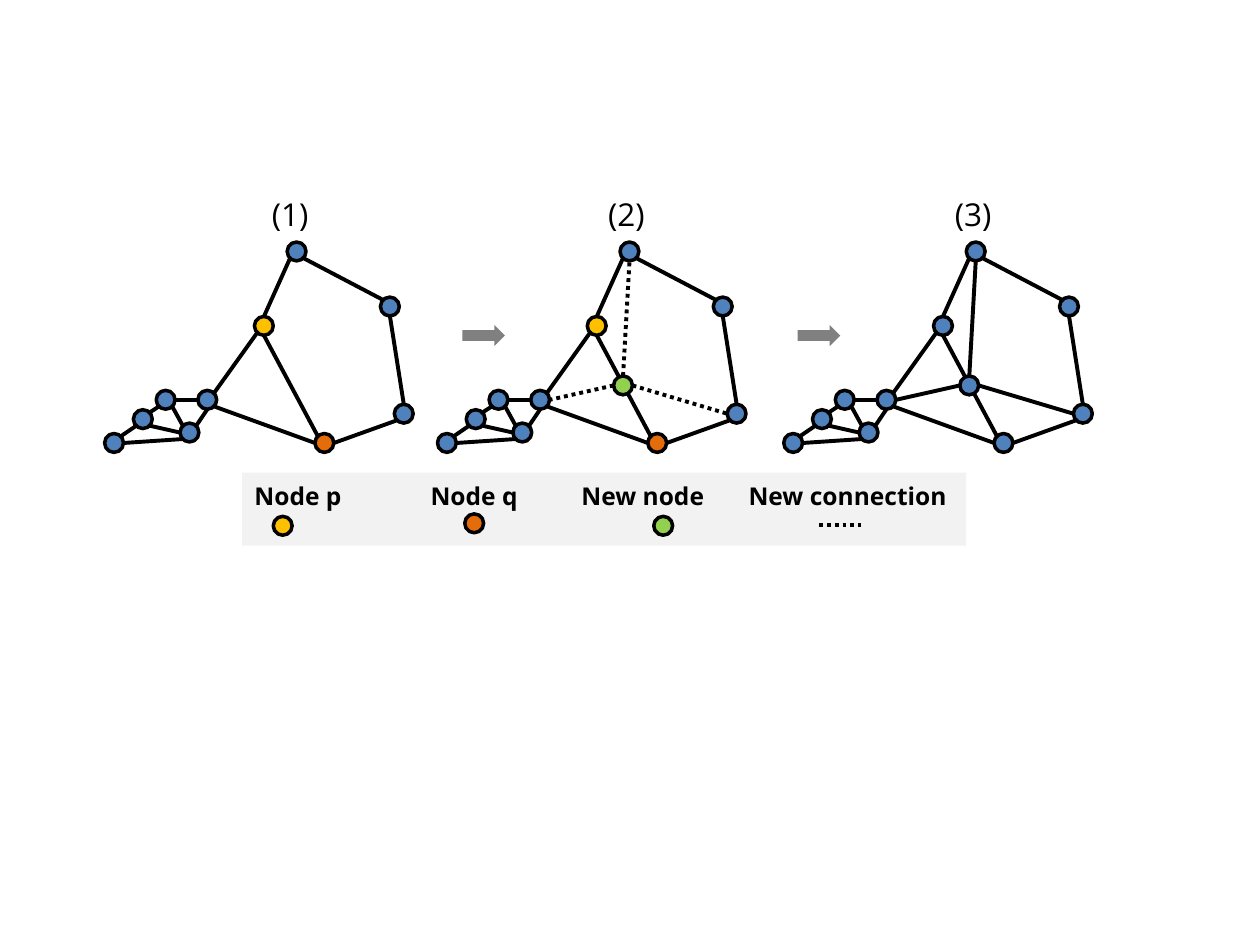
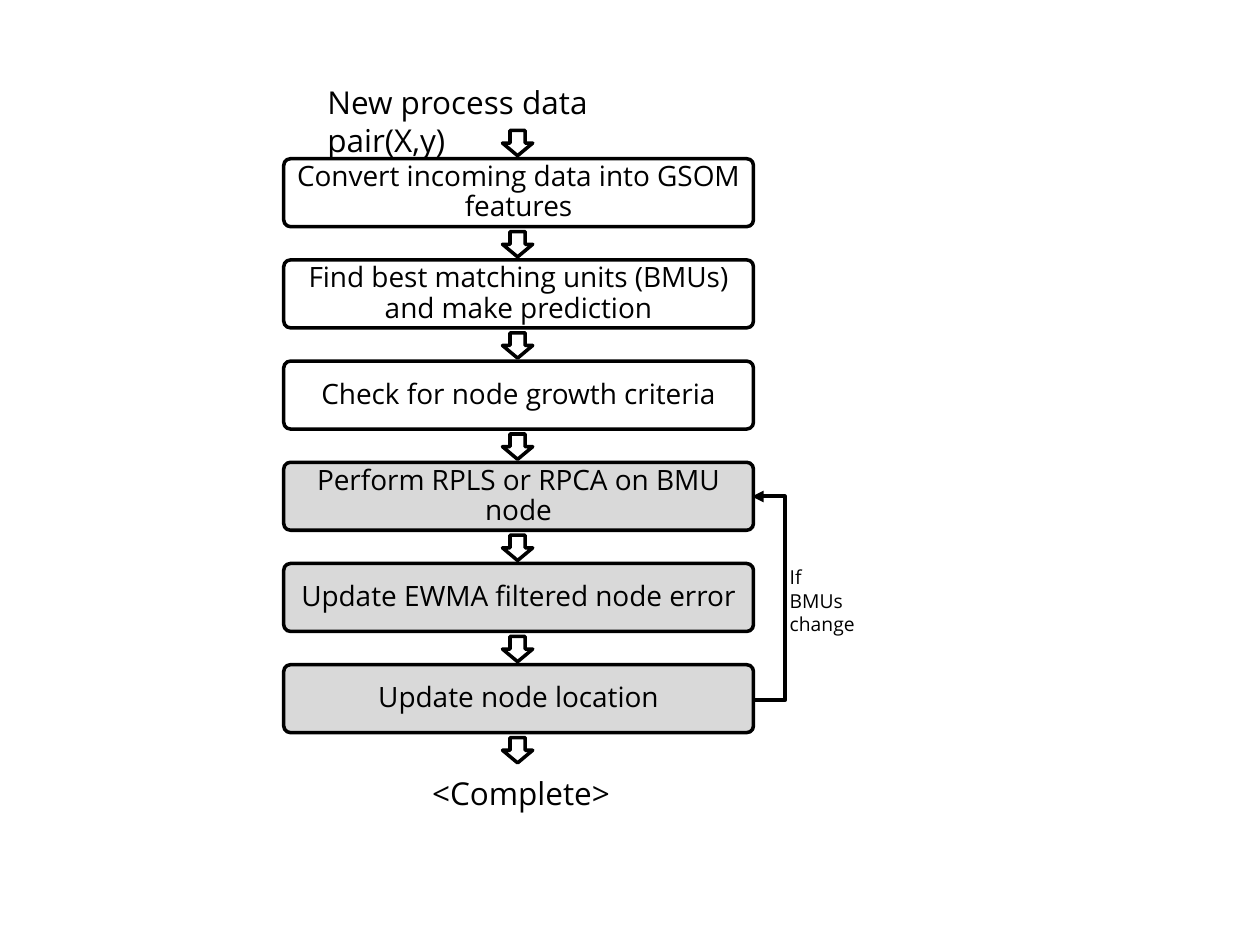
from pptx import Presentation
from pptx.dml.color import RGBColor
from pptx.enum.dml import MSO_LINE_DASH_STYLE as Dash
from pptx.enum.shapes import MSO_CONNECTOR as Link, MSO_SHAPE as Shape
from pptx.enum.text import MSO_ANCHOR as Anchor, PP_ALIGN as Align
from pptx.oxml.ns import qn
from pptx.util import Cm, Pt
from lxml.etree import SubElement, Element

COLORS = {
    "black": "000000", "white": "FFFFFF", "band": "F2F2F2", "arrow": "808080",
    "step": "D9D9D9", "node": "4F81BD", "p": "FFC000", "q": "E46C0A", "new": "92D050",
}
FONT = "Open Sans"
NODE_SIZE = 0.38


def add_shape(page, kind, left, top, width, height, fill, outlined=True):
    shape = page.shapes.add_shape(kind, Cm(left), Cm(top), Cm(width), Cm(height))
    shape.shadow.inherit = False
    shape.fill.solid()
    shape.fill.fore_color.rgb = RGBColor.from_string(COLORS[fill])
    if outlined:
        shape.line.color.rgb = RGBColor.from_string(COLORS["black"])
        shape.line.width = Pt(2)
    else:
        shape.line.fill.background()
    return shape


def add_line(page, start, end, dotted=False, kind=Link.STRAIGHT):
    line = page.shapes.add_connector(kind, *(Cm(value) for value in (*start, *end)))
    line.line.color.rgb = RGBColor.from_string(COLORS["black"])
    line.line.width = Pt(2.25)
    if dotted:
        line.line.dash_style = Dash.ROUND_DOT
    SubElement(line._element.spPr, qn("a:effectLst"))
    return line


deck = Presentation()
deck.slide_width, deck.slide_height = Cm(25.4), Cm(19.05)
growth_page, flow_page = (deck.slides.add_slide(deck.slide_layouts[6]) for _ in range(2))

centers = {
    "p": (5.32, 6.57), "top": (5.98, 5.07), "hub": (4.18, 8.06), "q": (6.54, 8.93),
    "right": (8.14, 8.34), "upper": (7.86, 6.18), "low": (3.82, 8.72),
    "inner": (3.34, 8.06), "outer": (2.88, 8.45), "tip": (2.3, 8.93), "new": (5.85, 7.77),
}
sides = {
    "N": (0, -0.19), "S": (0, 0.19), "W": (-0.19, 0), "E": (0.19, 0),
    "NW": (-0.13, -0.13), "NE": (0.13, -0.13), "SW": (-0.13, 0.13), "SE": (0.13, 0.13),
}
old_edges = [
    ("top", "SE", "upper", "NW"), ("upper", "S", "right", "N"), ("q", "E", "right", "SW"),
    ("q", "NW", "p", "S"), ("p", "N", "top", "SW"), ("p", "SW", "hub", "NE"),
    ("q", "W", "hub", "SE"), ("hub", "S", "low", "NE"), ("hub", "W", "inner", "E"),
    ("inner", "SW", "outer", "NE"), ("low", "NW", "inner", "SE"), ("low", "W", "outer", "SE"),
    ("low", "SW", "tip", "E"), ("outer", "SW", "tip", "NE"),
]
new_edges = [("new", "E", "right", "W"), ("new", "N", "top", "S"), ("new", "W", "hub", "E")]

add_shape(growth_page, Shape.RECTANGLE, 4.88, 9.53, 14.6, 1.47, "band", False)

stages = [(0, ("p", "q"), False), (6.71, ("p", "q", "new"), True), (13.69, (), True)]
for shift, marked, grown in stages:
    edges = old_edges + new_edges if grown else old_edges
    for first, first_side, second, second_side in edges:
        start, end = [
            (centers[name][0] + sides[side][0] + shift, centers[name][1] + sides[side][1])
            for name, side in ((first, first_side), (second, second_side))
        ]
        add_line(growth_page, start, end, dotted="new" in marked and first == "new")
    for name, (x, y) in centers.items():
        if name != "new" or grown:
            add_shape(growth_page, Shape.OVAL, x - NODE_SIZE / 2 + shift, y - NODE_SIZE / 2,
                      NODE_SIZE, NODE_SIZE, name if name in marked else "node")

for left in (9.32, 16.08):
    add_shape(growth_page, Shape.RIGHT_ARROW, left, 6.55, 0.86, 0.43, "arrow", False)

for name, left, top in (("p", 5.51, 10.41), ("q", 9.37, 10.36), ("new", 13.18, 10.41)):
    add_shape(growth_page, Shape.OVAL, left, top, NODE_SIZE, NODE_SIZE, name)
add_line(growth_page, (16.51, 10.59), (17.35, 10.59), dotted=True)

steps = [
    ("Convert incoming data into GSOM features", "white"),
    ("Find best matching units (BMUs) and make prediction", "white"),
    ("Check for node growth criteria", "white"),
    ("Perform RPLS or RPCA on BMU node", "step"),
    ("Update EWMA filtered node error", "step"),
    ("Update node location", "step"),
]
FIRST_TOP, PITCH = 3.2, 2.04
for index, (text, fill) in enumerate(steps):
    box = add_shape(flow_page, Shape.ROUNDED_RECTANGLE, 5.72, FIRST_TOP + index * PITCH,
                    9.47, 1.37, fill)
    box.adjustments[0] = 0.1
    frame = box.text_frame
    frame.word_wrap = True
    frame.vertical_anchor = Anchor.MIDDLE
    frame.margin_left = frame.margin_right = Cm(0.15)
    para = frame.paragraphs[0]
    para.text = text
    para.alignment = Align.CENTER
    para.line_spacing = 0.9
    para.font.name, para.font.size = FONT, Pt(16)
    para.font.color.rgb = RGBColor.from_string(COLORS["black"])

for index in range(len(steps) + 1):
    add_shape(flow_page, Shape.DOWN_ARROW, 10.13, FIRST_TOP - 0.57 + index * PITCH,
              0.61, 0.51, "white")

loop = add_line(flow_page, (15.21, 14.12), (15.16, 10.01), kind=Link.ELBOW)
guides = loop._element.spPr.find(qn("a:prstGeom")).find(qn("a:avLst"))
SubElement(guides, qn("a:gd"), name="adj1", fmla="val -1220000")
SubElement(loop.line._get_or_add_ln(), qn("a:tailEnd"), type="triangle")

legend = "Node p\tNode q\tNew node\tNew connection"
labels = [
    (growth_page, "(1)", 5.23, 3.81, 1.32, 18, False),
    (growth_page, "(2)", 12.01, 3.81, 1.32, 18, False),
    (growth_page, "(3)", 19, 3.81, 1.32, 18, False),
    (growth_page, legend, 4.88, 9.58, 15.24, 14, True),
    (flow_page, "New process data pair(X,y)", 6.35, 1.55, 8.26, 18, False),
    (flow_page, "<Complete>", 8.46, 15.47, 4.19, 18, False),
    (flow_page, "If\nBMUs change", 15.67, 11.28, 1.91, 11, False),
]
for page, text, left, top, width, size, bold in labels:
    box = page.shapes.add_textbox(Cm(left), Cm(top), Cm(width), Cm(1))
    box.text_frame.word_wrap = True
    box.text_frame.text = text
    for para in box.text_frame.paragraphs:
        para.font.name, para.font.size, para.font.bold = FONT, Pt(size), bold
        para.font.color.rgb = RGBColor.from_string(COLORS["black"])
        if text == legend:
            tabs = Element(qn("a:tabLst"))
            for position in (3.55, 6.59, 9.96):
                SubElement(tabs, qn("a:tab"), pos=str(Cm(position)), algn="l")
            para._p.get_or_add_pPr().insert(0, tabs)

deck.save("out.pptx")
